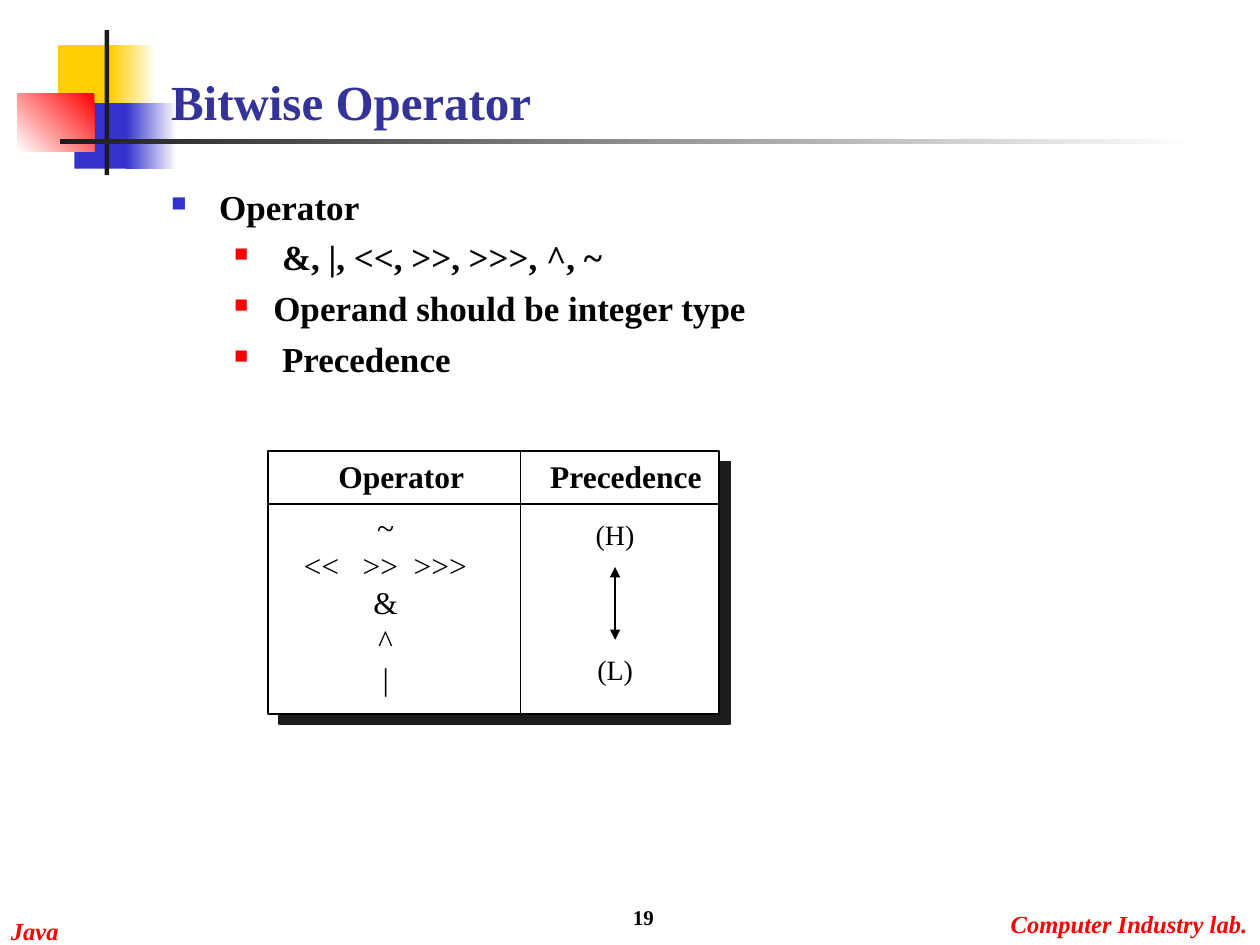
from lxml.etree import SubElement
from pptx import Presentation
from pptx.dml.color import RGBColor
from pptx.enum.shapes import MSO_CONNECTOR, MSO_SHAPE
from pptx.enum.text import MSO_ANCHOR, PP_ALIGN
from pptx.oxml.ns import qn
from pptx.util import Cm, Pt

BLACK, WHITE, DARK = "000000", "FFFFFF", "1C1C1C"
RED, BLUE, GOLD = "FF0000", "3333CC", "FFCF01"


def color(code):
    return RGBColor.from_string(code)


def add(node, tag, **attrs):
    return SubElement(node, qn(tag), attrs)


class Deck:
    font = "Times New Roman"

    def __init__(self, wide, high):
        self.file = Presentation()
        self.file.slide_width, self.file.slide_height = Cm(wide), Cm(high)
        self.slide = self.file.slides.add_slide(self.file.slide_layouts[6])

    def rect(self, x, y, w, h, fill):
        shape = self.slide.shapes.add_shape(
            MSO_SHAPE.RECTANGLE, Cm(x), Cm(y), Cm(w), Cm(h))
        shape.shadow.inherit = False
        shape.fill.solid()
        shape.fill.fore_color.rgb = color(fill)
        shape.line.fill.background()
        return shape

    def fade(self, x, y, w, h, start, end, angle=180):
        """Rectangle with a two-colour gradient; the angle runs anticlockwise."""
        fill = self.rect(x, y, w, h, start).fill
        fill.gradient()
        fill.gradient_angle = angle
        for stop, code in zip(fill.gradient_stops, (start, end)):
            stop.color.rgb = color(code)

    def frame(self, x, y, w, h):
        """White panel with a black outline and a hard shadow."""
        shape = self.rect(x, y, w, h, WHITE)
        shape.line.color.rgb = color(BLACK)
        shape.line.width = Pt(1)
        effects = shape._element.spPr.find(qn("a:effectLst"))
        shade = add(effects, "a:outerShdw", blurRad="0", dist=str(Pt(8.5)),
                    dir="2700000", algn="ctr", rotWithShape="0")
        add(shade, "a:srgbClr", val=DARK)

    def line(self, x1, y1, x2, y2, arrows=False):
        line = self.slide.shapes.add_connector(
            MSO_CONNECTOR.STRAIGHT, Cm(x1), Cm(y1), Cm(x2), Cm(y2))
        line.line.color.rgb = color(BLACK)
        line.line.width = Pt(1)
        if arrows:
            for end in ("a:headEnd", "a:tailEnd"):
                add(line.line._ln, end, type="triangle")
        add(line._element.spPr, "a:effectLst")

    def text(self, x, y, w, h, words, size, code=BLACK, bold=False,
             italic=False, align=PP_ALIGN.LEFT, anchor=MSO_ANCHOR.TOP,
             pitch=None):
        box = self.slide.shapes.add_textbox(Cm(x), Cm(y), Cm(w), Cm(h))
        frame = box.text_frame
        frame.word_wrap = True
        frame.vertical_anchor = anchor
        frame.text = words
        for para in frame.paragraphs:
            para.alignment = align
            if pitch:
                para.line_spacing = Pt(pitch)
            for run in para.runs:
                font = run.font
                font.name, font.size = self.font, Pt(size)
                font.bold, font.italic = bold, italic
                font.color.rgb = color(code)
        return frame.paragraphs

    def bullet(self, para, left, hang, code, scale):
        props = para._p.get_or_add_pPr()
        props.set("marL", str(Cm(left)))
        props.set("indent", str(-Cm(hang)))
        add(add(props, "a:buClr"), "a:srgbClr", val=code)
        add(props, "a:buSzPct", val=str(scale * 1000))
        add(props, "a:buChar", char="■")

    def tabs(self, para, *stops):
        stop_list = add(para._p.get_or_add_pPr(), "a:tabLst")
        for stop in stops:
            add(stop_list, "a:tab", pos=str(Cm(stop)), algn="l")


def main():
    deck = Deck(25.4, 19.05)

    # Corner ornament
    deck.rect(1.17, 0.91, 1.22, 1.32, GOLD)
    deck.fade(2.24, 0.91, 0.91, 1.32, WHITE, GOLD)
    deck.rect(1.5, 2.08, 1.17, 1.32, BLUE)
    deck.fade(2.54, 2.08, 1.02, 1.32, WHITE, BLUE)
    deck.fade(0.35, 1.88, 1.55, 1.17, RED, WHITE, 225)
    deck.rect(2.11, 0.61, 0.09, 2.92, DARK)
    deck.fade(1.22, 2.81, 22.86, 0.09, WHITE, DARK)

    # Footer
    deck.text(-0.03, 18.34, 2, 0.86, "Java", 14, RED, True, True)
    deck.text(18.9, 18.21, 6.5, 0.86, "Computer Industry lab.", 14, RED,
              True, True, PP_ALIGN.RIGHT)
    deck.text(8.15, 17.6, 5.28, 1.27, "19", 12, bold=True,
              align=PP_ALIGN.RIGHT, anchor=MSO_ANCHOR.BOTTOM)

    # Title and bullets
    deck.text(3.2, -0.43, 21.64, 3.18, "Bitwise Operator", 28, "333399",
              True, anchor=MSO_ANCHOR.BOTTOM)
    words = ("Operator\n &, |, <<, >>, >>>, ^, ~\n"
             "Operand should be integer type\n Precedence")
    head, *items = deck.text(3.2, 3.61, 21.59, 13.54, words, 20, bold=True,
                             pitch=24)
    deck.bullet(head, 0.97, 0.97, BLUE, 60)
    for item in items:
        item.level = 1
        item.space_before = Pt(5)
        deck.bullet(item, 2.06, 0.79, RED, 55)

    # Precedence chart
    left, top, wide, high = 5.41, 9.09, 9.09, 5.3
    deck.frame(left, top, wide, high)
    deck.line(left, 10.16, left + wide, 10.16)
    deck.line(10.49, top, 10.49, top + high)
    centre = {"align": PP_ALIGN.CENTER, "anchor": MSO_ANCHOR.MIDDLE}
    for x, label in ((6.09, "Operator"), (10.62, "Precedence")):
        deck.text(x, top, 4, 1.02, label, 18, bold=True, **centre)
    ranks = deck.text(5.87, 10.11, 3.81, 4.06, "~\n<<\t>>\t>>>\n&\n^\n|", 18,
                      pitch=21.6, **centre)
    ranks[1].alignment = PP_ALIGN.LEFT
    deck.tabs(ranks[1], 1.19, 2.22)
    ends = deck.text(11.4, 10.31, 2, 3.66, "(H)\n(L)", 16, pitch=19, **centre)
    ends[1].space_before = Pt(58)
    deck.line(12.4, 11.43, 12.4, 12.9, arrows=True)

    deck.file.save("out.pptx")


if __name__ == "__main__":
    main()
